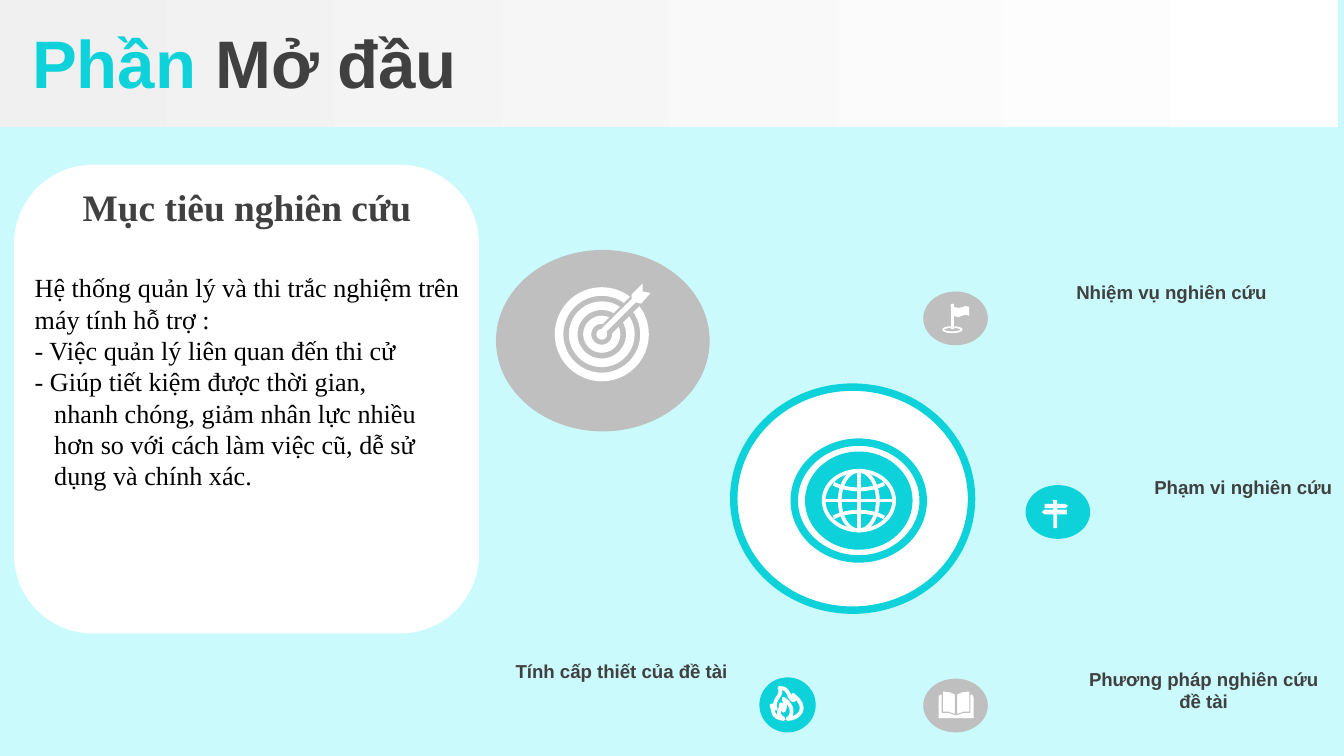
import math
import pptx
import pptx.util
import pptx.dml.color
import pptx.enum.shapes
import pptx.enum.text

Pt = pptx.util.Pt
RGBColor = pptx.dml.color.RGBColor
MSO = pptx.enum.shapes.MSO_SHAPE
ALIGN = pptx.enum.text.PP_ALIGN

CYAN = RGBColor(0x0D, 0xD2, 0xD9)
PALE = RGBColor(0xCA, 0xFA, 0xFC)
GREY = RGBColor(0xBF, 0xBF, 0xBF)
DARK = RGBColor(0x40, 0x40, 0x40)
SILVER = RGBColor(0xF0, 0xF0, 0xF0)
WHITE = RGBColor(255, 255, 255)
BLACK = RGBColor(0, 0, 0)

# Content
TITLE = [(" Phần ", CYAN), ("Mở đầu", DARK)]
HEADING = "Mục tiêu nghiên cứu"
BODY = [  # text, left indent
    ("Hệ thống quản lý và thi trắc nghiệm trên máy tính hỗ trợ :", 0),
    ("- Việc quản lý liên quan đến thi cử", 0),
    ("- Giúp tiết kiệm được thời gian,", 0),
    ("nhanh chóng, giảm nhân lực nhiều", 10.5),
    ("hơn so với cách làm việc cũ, dễ sử", 10.5),
    ("dụng và chính xác.", 10.5),
]
LABELS = [  # text, left, top, width, height, alignment
    ("Tính cấp thiết của đề tài", 265.7, 349.9, 131, 19.4, ALIGN.RIGHT),
    ("Nhiệm vụ nghiên cứu", 569.5, 146.9, 150.5, 19.4, ALIGN.LEFT),
    ("Phạm vi nghiên cứu", 611.3, 251.3, 150.5, 31.7, ALIGN.LEFT),
    ("Phương pháp nghiên cứu đề tài", 569.5, 354.2, 150.5, 31.7, ALIGN.CENTER),
]
DISCS = [  # left, top, width, height, fill, line
    (393.1, 207.4, 127.4, 119.5, WHITE, CYAN),
    (425.5, 236.9, 69.1, 62.6, WHITE, CYAN),
    (431.3, 241.9, 57.6, 52.6, CYAN, None),
    (494.6, 363.6, 34.6, 28.8, GREY, None),
    (265.7, 133.9, 114.5, 97.2, GREY, None),
    (406.8, 362.9, 30.2, 29.5, CYAN, None),
    (494.6, 156.2, 34.6, 28.8, GREY, None),
    (549.4, 259.9, 34.6, 28.8, CYAN, None),
]

# Icon outlines in points; a curve is a start followed by Bezier triples
SIGN = [(564, 268), (566.4, 268), (566.4, 270), (570.8, 270), (572.2, 271.1),
        (570.8, 272.2), (566.4, 272.2), (566.4, 273), (571.6, 273), (571.6, 275.6),
        (566.4, 275.6), (566.4, 283), (564.4, 283), (564.4, 275.6), (559.6, 275.6),
        (558.2, 274.3), (559.6, 273), (564.4, 273), (564.4, 272.2), (559.6, 272.2),
        (559.6, 270), (564.4, 270)]
ARROW = [(344.2, 151.9), (344.2, 156.2), (348.5, 157), (343.4, 162.7), (340.6, 162),
         (324.6, 177.9), (322.4, 175.9), (338.4, 160.2), (338.4, 157.7)]
FLAG = [(511.2, 164.5), (511.2, 169.4), (513.4, 169.9), (515.5, 169.2), (517, 168.6),
        (519.2, 169.2), (519.2, 164.3), (517, 164), (515.5, 164.6), (513.4, 165)]
COVER = [(502.8, 373.7), (503.4, 372.2), (521, 372.2), (521.6, 373.7), (521.6, 384.7), (502.8, 384.7)]
PAGE = [(0.3, 1.7), (2.7, 0.5), (5, 0.1), (7.4, 0.1), (7.4, 11.4), (4, 11.4), (0.3, 12.7)]
FLAME = [(419.8, 385.2), (413.3, 384.5), (414.7, 380.9), (413.3, 378),
         (414.7, 377.3), (416.2, 380.9), (415.4, 379.4),
         (414, 373.7), (419.8, 373), (417.6, 368.6),
         (423.4, 368.6), (421.9, 373.7), (424.8, 375.1),
         (425.5, 375.1), (426.2, 375.1), (424.8, 372.2),
         (434.2, 379.4), (427.7, 385.2), (421.9, 385.2),
         (424.8, 383.8), (425.5, 378), (419.8, 374.4),
         (421.2, 378), (420.5, 379.4), (419.8, 380.9),
         (419.8, 380.2), (420.5, 378.7), (418.3, 377.3),
         (419, 380.9), (414.7, 381.6), (419.8, 385.2)]

prs = pptx.Presentation()
prs.slide_width, prs.slide_height = Pt(720), Pt(405)
s = prs.slides.add_slide(prs.slide_layouts[5])
s.background.fill.solid()
s.background.fill.fore_color.rgb = PALE


def paint(sp, fill=None, line=None, weight=0):
    sp.shadow.inherit = False
    if fill is None:
        sp.fill.background()
    else:
        sp.fill.solid()
        sp.fill.fore_color.rgb = fill
    if line is None:
        sp.line.fill.background()
    else:
        sp.line.color.rgb = line
        sp.line.width = Pt(weight)
    return sp


def shape(kind, x, y, w, h, *style):
    return paint(s.shapes.add_shape(kind, Pt(x), Pt(y), Pt(w), Pt(h)), *style)


def ring(cx, cy, rx, ry, *style):
    return shape(MSO.OVAL, cx - rx, cy - ry, 2 * rx, 2 * ry, *style)


def outline(points, *style, close=True):
    pts = [(Pt(x), Pt(y)) for x, y in points]
    fb = s.shapes.build_freeform(*pts[0])
    fb.add_line_segments(pts[1:], close=close)
    return paint(fb.convert_to_shape(), *style)


def curve(points, steps=8):
    result = [points[0]]
    for i in range(0, len(points) - 1, 3):
        for k in range(1, steps + 1):
            t = k / steps
            weights = [math.comb(3, n) * t ** n * (1 - t) ** (3 - n) for n in range(4)]
            result.append(tuple(sum(c * p[axis] for c, p in zip(weights, points[i:i + 4]))
                                for axis in (0, 1)))
    return result


def bar(x1, y1, x2, y2, color, weight):
    c = s.shapes.add_connector(pptx.enum.shapes.MSO_CONNECTOR.STRAIGHT, Pt(x1), Pt(y1), Pt(x2), Pt(y2))
    c.line.color.rgb = color
    c.line.width = Pt(weight)
    c._element.spPr.append(c._element.spPr.makeelement(
        "{http://schemas.openxmlformats.org/drawingml/2006/main}effectLst", {}))


def textbox(x, y, w, h):
    tf = s.shapes.add_textbox(Pt(x), Pt(y), Pt(w), Pt(h)).text_frame
    tf.word_wrap = True
    return tf


def style_text(p, name, size, color, bold, align):
    p.font.name, p.font.size, p.font.bold = name, Pt(size), bold
    p.font.color.rgb = color
    p.alignment = align


# Header band and title
band = shape(MSO.RECTANGLE, 0, 0, 717, 68)
band.fill.gradient()
band.fill.gradient_angle = 0
for stop, color in zip(band.fill.gradient_stops, (SILVER, WHITE)):
    stop.color.rgb = color
title = s.shapes.title
title._element.addprevious(band._element)
title.left, title.top, title.width, title.height = Pt(0), Pt(2.2), Pt(720), Pt(61.2)
tf = title.text_frame
tf.vertical_anchor = pptx.enum.text.MSO_ANCHOR.MIDDLE
p = tf.paragraphs[0]
style_text(p, "Arial", 36, DARK, True, ALIGN.LEFT)
for text, color in TITLE:
    r = p.add_run()
    r.text = text
    r.font.color.rgb = color

# Card and discs
shape(MSO.ROUNDED_RECTANGLE, 8.6, 89.3, 247, 249.1, WHITE, WHITE, 2)
for x, y, w, h, fill, line in DISCS:
    shape(MSO.OVAL, x, y, w, h, fill, line, 4)

# Globe icon
gx, gy, rx, ry = 460.1, 268.2, 18.9, 16
ring(gx, gy, rx, ry, None, WHITE, 2)
ring(gx, gy, 10.2, ry, None, WHITE, 2)
bar(gx, gy - ry, gx, gy + ry, WHITE, 2)
bar(gx - rx, gy, gx + rx, gy, WHITE, 2)
for side in (-1, 1):
    ends = [(-13.6, 9), (-6, 5), (6, 5), (13.6, 9)]
    outline(curve([(gx + x, gy + side * y) for x, y in ends]), None, WHITE, 2, close=False)

# Target icon
tx, ty = 322.4, 179.1
for radius, weight in ((22.9, 4.6), (15.3, 4.6), (7.8, 4.3)):
    ring(tx, ty, radius, radius, None, WHITE, weight)
bar(tx, ty, 343, 158.5, GREY, 7)
ring(tx, ty, 2.9, 2.9, WHITE)
outline(ARROW, WHITE)

# Flag, signpost and flame icons
ring(510.2, 176.6, 5, 1.4, None, WHITE, 0.9)
bar(510.2, 163, 510.2, 176.4, WHITE, 1.3)
ring(510.2, 163.7, 1, 1, WHITE)
outline(FLAG, WHITE)
outline(SIGN, WHITE)
outline(curve(FLAME), CYAN, WHITE, 2)

# Book icon: cover and two mirrored pages
outline(COVER, WHITE)
for side in (-1, 1):
    outline([(512.2 + side * x, 370.2 + y) for x, y in PAGE], WHITE, GREY, 0.6)

# Card text and labels
tf = textbox(11.5, 95, 241.9, 189.4)
p = tf.paragraphs[0]
p.text = HEADING
p.space_after = Pt(23)
style_text(p, "Times New Roman", 20, DARK, True, ALIGN.CENTER)
for text, indent in BODY:
    p = tf.add_paragraph()
    p.text = text
    style_text(p, "Times New Roman", 14, BLACK, False, ALIGN.JUSTIFY)
    p._p.get_or_add_pPr().set("marL", str(Pt(indent)))
for text, x, y, w, h, align in LABELS:
    p = textbox(x, y, w, h).paragraphs[0]
    p.text = text
    style_text(p, "Arial", 10, DARK, True, align)

prs.save("out.pptx")
